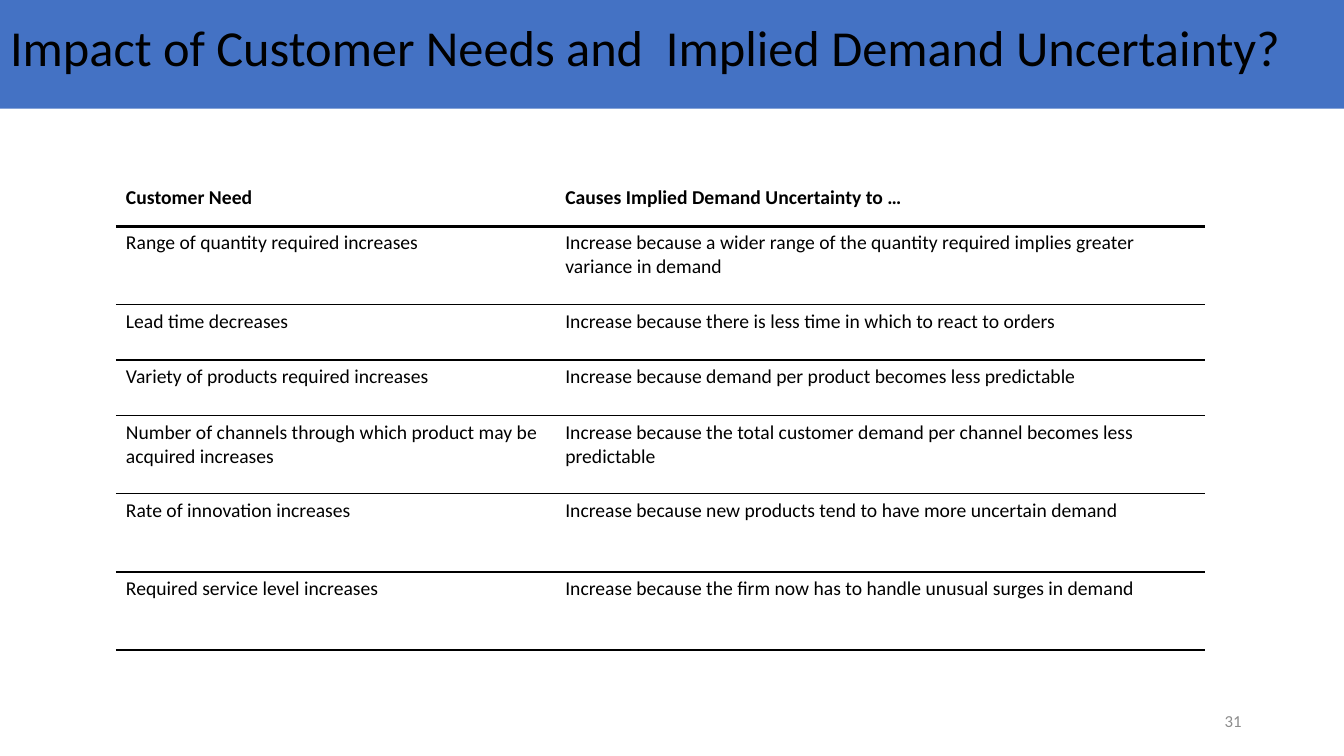
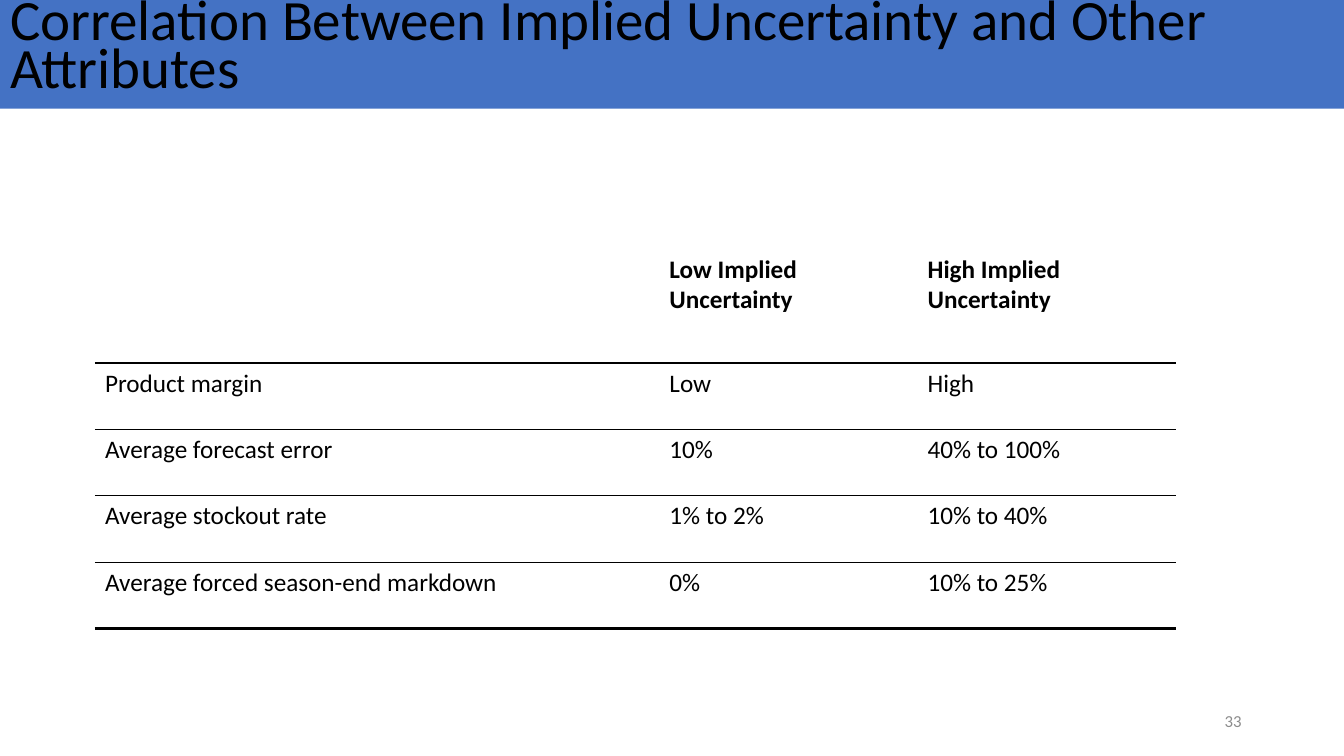
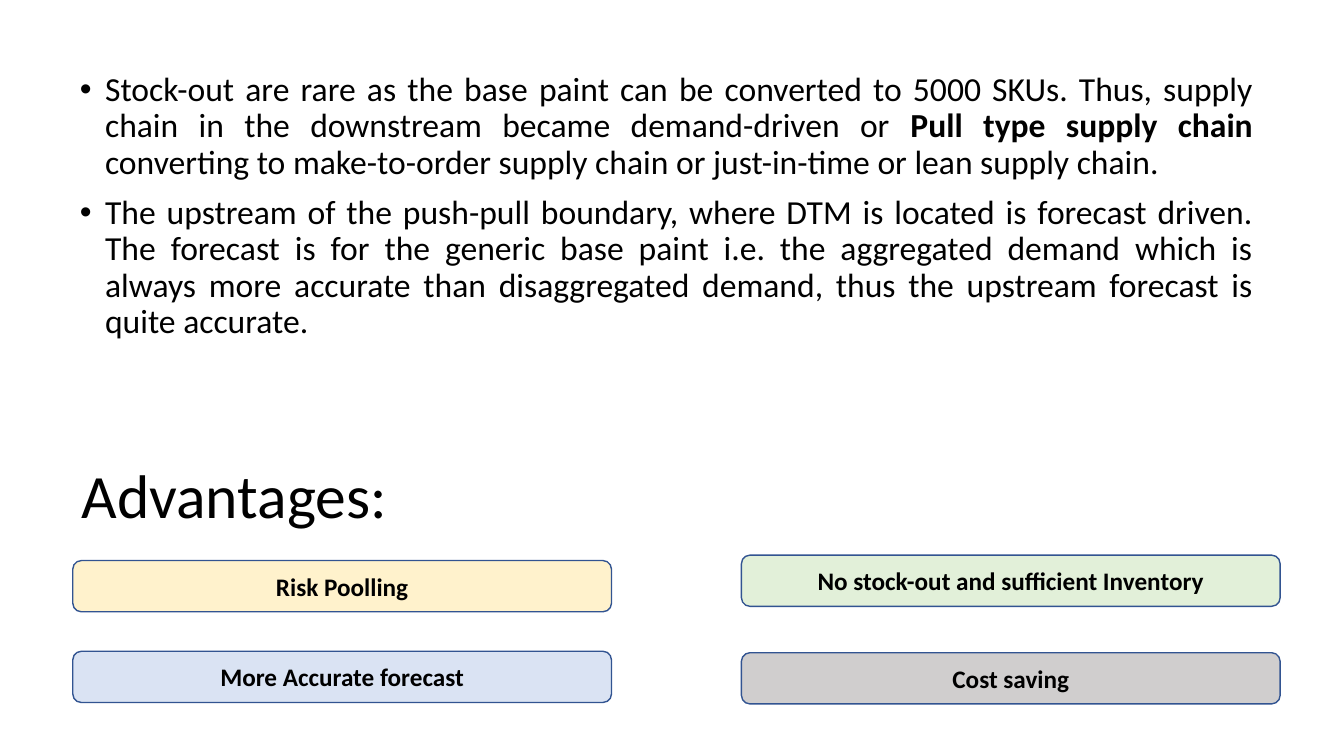
from dataclasses import dataclass

import pptx
import pptx.dml.color
import pptx.enum.shapes
import pptx.enum.text
import pptx.oxml
import pptx.oxml.ns
import pptx.presentation
import pptx.shapes.base
import pptx.slide
import pptx.text.text
import pptx.util

Pt = pptx.util.Pt
Align = pptx.enum.text.PP_ALIGN
Anchor = pptx.enum.text.MSO_ANCHOR

SLIDE_WIDTH, SLIDE_HEIGHT = 960, 540
FONT = "Calibri"
BLACK = "000000"
BAND_BLUE = "4472C4"
OUTLINE_BLUE = "325491"
NUMBER_GREY = "8C8C8C"
HEAVY_RULE, THIN_RULE = 2.25, 1
TITLE_ONLY_LAYOUT = 5


@dataclass(frozen=True)
class Box:
    left: float
    top: float
    width: float
    height: float


@dataclass(frozen=True)
class TextStyle:
    size: float
    color: str = BLACK
    bold: bool = False
    alignment: Align = Align.LEFT
    line_spacing: float = 1.0


@dataclass(frozen=True)
class RuledTable:
    left: float
    top: float
    column_widths: list[float]
    row_heights: list[float]
    text_size: float
    rows: list[list[str]]


@dataclass(frozen=True)
class Advantage:
    text: str
    left: float
    top: float
    fill: str


BAND = Box(0, -5.8, SLIDE_WIDTH, 83.5)
PAGE_NUMBER = Box(678, 500.5, 216, 28.8)
ADVANTAGES_TITLE = Box(51, 304, 828, 104.4)
BODY = Box(50, 48.3, 852.2, 248.4)
BODY_STYLE = TextStyle(24, alignment=Align.JUSTIFY, line_spacing=0.9)
BULLET_INDENT = 18
BODY_PARAGRAPHS = [
    [
        ("Stock-out are rare as the base paint can be converted to 5000 SKUs. Thus, "
         "supply chain in the downstream became demand-driven or ", False),
        ("Pull type supply chain", True),
        (" converting to make-to-order supply chain or just-in-time or lean "
         "supply chain.", False),
    ],
    [
        ("The upstream of the push-pull boundary, where DTM is located is forecast "
         "driven. The forecast is for the generic base paint i.e. the aggregated "
         "demand which is always more accurate than disaggregated demand, thus the "
         "upstream forecast is quite accurate.", False),
    ],
]

NEEDS_TABLE = RuledTable(
    left=82.8,
    top=128.8,
    column_widths=[313.8, 464.2],
    row_heights=[32.8, 55.8, 39.8, 39.8, 55.8, 55.8, 55.8],
    text_size=14,
    rows=[
        ["Customer Need", "Causes Implied Demand Uncertainty to …"],
        ["Range of quantity required increases",
         "Increase because a wider range of the quantity required implies greater "
         "variance in demand"],
        ["Lead time decreases",
         "Increase because there is less time in which to react to orders"],
        ["Variety of products required increases",
         "Increase because demand per product becomes less predictable"],
        ["Number of channels through which product may be acquired increases",
         "Increase because the total customer demand per channel becomes less "
         "predictable"],
        ["Rate of innovation increases",
         "Increase because new products tend to have more uncertain demand"],
        ["Required service level increases",
         "Increase because the firm now has to handle unusual surges in demand"],
    ],
)

ATTRIBUTES_TABLE = RuledTable(
    left=67.8,
    top=178,
    column_widths=[403.2, 184.4, 184.4],
    row_heights=[81.4] + [47.4] * 4,
    text_size=18,
    rows=[
        ["", "Low Implied Uncertainty", "High Implied Uncertainty"],
        ["Product margin", "Low", "High"],
        ["Average forecast error", "10%", "40% to 100%"],
        ["Average stockout rate", "1% to 2%", "10% to 40%"],
        ["Average forced season-end markdown", "0%", "10% to 25%"],
    ],
)

LEFT_COLUMN, RIGHT_COLUMN = 52, 529.6
ADVANTAGE_WIDTH, ADVANTAGE_HEIGHT = 384.8, 36.6
ADVANTAGES = [
    Advantage("Risk Poolling", LEFT_COLUMN, 400.4, "FFF2CC"),
    Advantage("More Accurate forecast", LEFT_COLUMN, 465.2, "DAE3F3"),
    Advantage("No stock-out and sufficient Inventory", RIGHT_COLUMN, 396.5, "E2F0D9"),
    Advantage("Cost saving", RIGHT_COLUMN, 466.2, "D0CECE"),
]


def rgb(color: str) -> pptx.dml.color.RGBColor:
    return pptx.dml.color.RGBColor.from_string(color)


def lengths(box: Box) -> list[pptx.util.Length]:
    return [Pt(value) for value in (box.left, box.top, box.width, box.height)]


def add_run(paragraph: pptx.text.text._Paragraph, text: str, style: TextStyle,
            bold: bool) -> None:
    run = paragraph.add_run()
    run.text = text
    run.font.name = FONT
    run.font.size = Pt(style.size)
    run.font.bold = bold
    run.font.color.rgb = rgb(style.color)


def format_paragraph(paragraph: pptx.text.text._Paragraph, style: TextStyle) -> None:
    paragraph.alignment = style.alignment
    paragraph.line_spacing = style.line_spacing


def write_text(frame: pptx.text.text.TextFrame, text: str, style: TextStyle,
               anchor: Anchor = Anchor.MIDDLE) -> None:
    frame.word_wrap = True
    frame.auto_size = pptx.enum.text.MSO_AUTO_SIZE.NONE
    frame.vertical_anchor = anchor
    paragraph = frame.paragraphs[0]
    format_paragraph(paragraph, style)
    add_run(paragraph, text, style, style.bold)


def place_title(slide: pptx.slide.Slide, text: str, box: Box,
                style: TextStyle) -> pptx.shapes.base.BaseShape:
    title = slide.shapes.title
    title.left, title.top, title.width, title.height = lengths(box)
    write_text(title.text_frame, text, style)
    return title


def add_slide(presentation: pptx.presentation.Presentation) -> pptx.slide.Slide:
    return presentation.slides.add_slide(presentation.slide_layouts[TITLE_ONLY_LAYOUT])


def set_border(cell: pptx.table._Cell, side: str, width: float | None) -> None:
    """Draw one side (L, R, T or B) of a cell; a width of None hides it."""
    properties = cell._tc.get_or_add_tcPr()
    line = pptx.oxml.ns.qn(f"a:ln{side}")
    border = properties.makeelement(line, {"w": str(Pt(width or 0))})
    properties.append(border)
    if width is None:
        border.append(border.makeelement(pptx.oxml.ns.qn("a:noFill"), {}))
        return
    fill = border.makeelement(pptx.oxml.ns.qn("a:solidFill"), {})
    fill.append(fill.makeelement(pptx.oxml.ns.qn("a:srgbClr"), {"val": BLACK}))
    border.append(fill)


def add_ruled_table(slide: pptx.slide.Slide, content: RuledTable) -> None:
    row_count, column_count = len(content.rows), len(content.column_widths)
    box = Box(content.left, content.top, sum(content.column_widths),
              sum(content.row_heights))
    table = slide.shapes.add_table(row_count, column_count, *lengths(box)).table
    table.first_row = table.horz_banding = False
    for column, width in zip(table.columns, content.column_widths):
        column.width = Pt(width)
    for row, height in zip(table.rows, content.row_heights):
        row.height = Pt(height)

    rules = [None, HEAVY_RULE] + [THIN_RULE] * (row_count - 2) + [HEAVY_RULE]
    for row_index, texts in enumerate(content.rows):
        style = TextStyle(content.text_size, bold=row_index == 0)
        for column_index, text in enumerate(texts):
            cell = table.cell(row_index, column_index)
            set_border(cell, "L", None)
            set_border(cell, "R", None)
            set_border(cell, "T", rules[row_index])
            set_border(cell, "B", rules[row_index + 1])
            cell.fill.background()
            if text:
                add_run(cell.text_frame.paragraphs[0], text, style, style.bold)


def add_table_slide(presentation: pptx.presentation.Presentation, title: str,
                    title_style: TextStyle, table: RuledTable, number: str) -> None:
    slide = add_slide(presentation)
    band = place_title(slide, title, BAND, title_style)
    band.fill.solid()
    band.fill.fore_color.rgb = rgb(BAND_BLUE)
    add_ruled_table(slide, table)
    number_box = slide.shapes.add_textbox(*lengths(PAGE_NUMBER))
    write_text(number_box.text_frame, number,
               TextStyle(12, NUMBER_GREY, alignment=Align.RIGHT))


def add_bullet(paragraph: pptx.text.text._Paragraph) -> None:
    properties = paragraph._p.get_or_add_pPr()
    properties.set("marL", str(Pt(BULLET_INDENT)))
    properties.set("indent", str(-Pt(BULLET_INDENT)))
    for tag, attributes in (("a:buFont", {"typeface": "Arial"}),
                            ("a:buChar", {"char": "•"})):
        properties.append(
            properties.makeelement(pptx.oxml.ns.qn(tag), attributes))


def add_body(slide: pptx.slide.Slide) -> None:
    frame = slide.shapes.add_textbox(*lengths(BODY)).text_frame
    frame.word_wrap = True
    for index, runs in enumerate(BODY_PARAGRAPHS):
        paragraph = frame.add_paragraph() if index else frame.paragraphs[0]
        add_bullet(paragraph)
        format_paragraph(paragraph, BODY_STYLE)
        if index:
            paragraph.space_before = Pt(10)
        for text, bold in runs:
            add_run(paragraph, text, BODY_STYLE, bold)


def add_advantage(slide: pptx.slide.Slide, advantage: Advantage) -> None:
    box = Box(advantage.left, advantage.top, ADVANTAGE_WIDTH, ADVANTAGE_HEIGHT)
    shape = slide.shapes.add_shape(
        pptx.enum.shapes.MSO_SHAPE.ROUNDED_RECTANGLE, *lengths(box))
    shape.shadow.inherit = False
    shape.fill.solid()
    shape.fill.fore_color.rgb = rgb(advantage.fill)
    shape.line.color.rgb = rgb(OUTLINE_BLUE)
    shape.line.width = Pt(1)
    write_text(shape.text_frame, advantage.text,
               TextStyle(18, bold=True, alignment=Align.CENTER))


def add_advantages_slide(presentation: pptx.presentation.Presentation) -> None:
    slide = add_slide(presentation)
    add_body(slide)
    place_title(slide, "Advantages:", ADVANTAGES_TITLE,
                TextStyle(44, line_spacing=0.9))
    for advantage in ADVANTAGES:
        add_advantage(slide, advantage)


def main() -> None:
    presentation = pptx.Presentation()
    presentation.slide_width = Pt(SLIDE_WIDTH)
    presentation.slide_height = Pt(SLIDE_HEIGHT)
    add_table_slide(
        presentation, "Impact of Customer Needs and  Implied Demand Uncertainty?",
        TextStyle(36, line_spacing=0.9), NEEDS_TABLE, "31")
    add_table_slide(
        presentation, "Correlation Between Implied Uncertainty and Other Attributes",
        TextStyle(40.7, line_spacing=0.7), ATTRIBUTES_TABLE, "33")
    add_advantages_slide(presentation)
    presentation.save("out.pptx")


if __name__ == "__main__":
    main()
